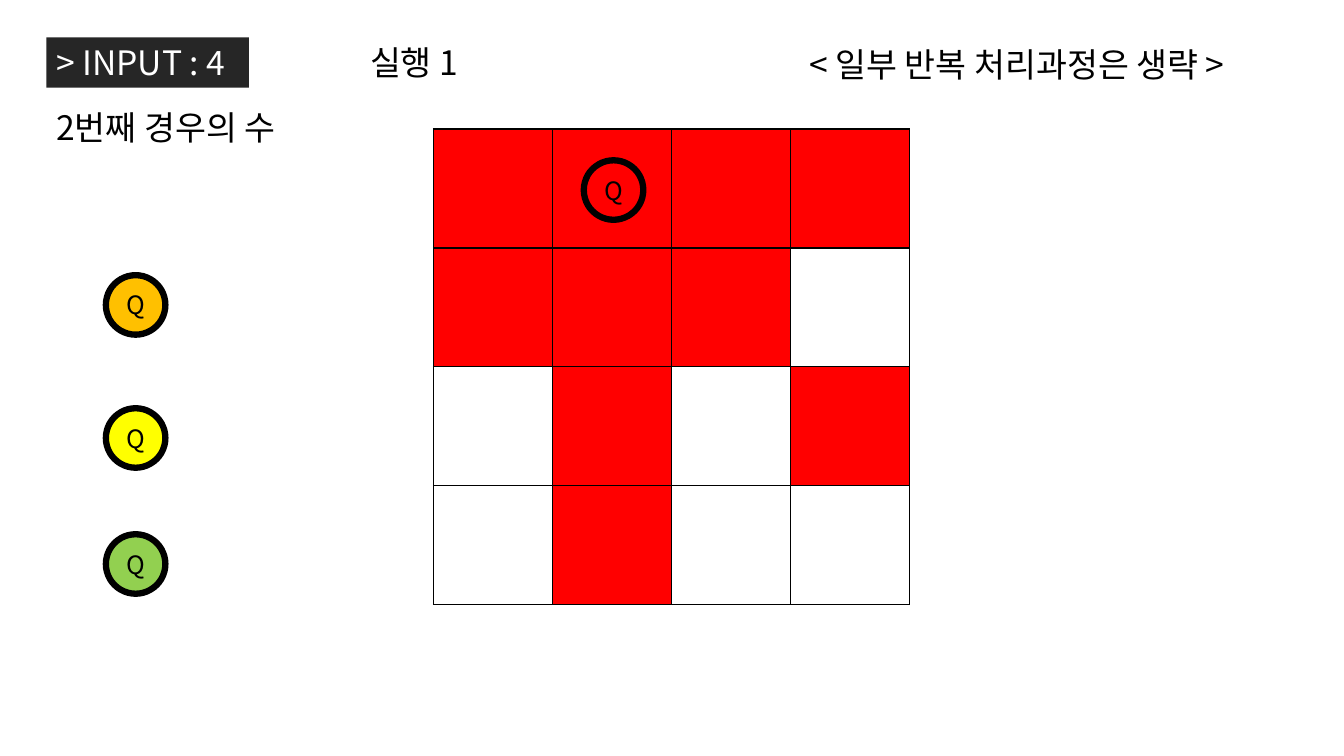
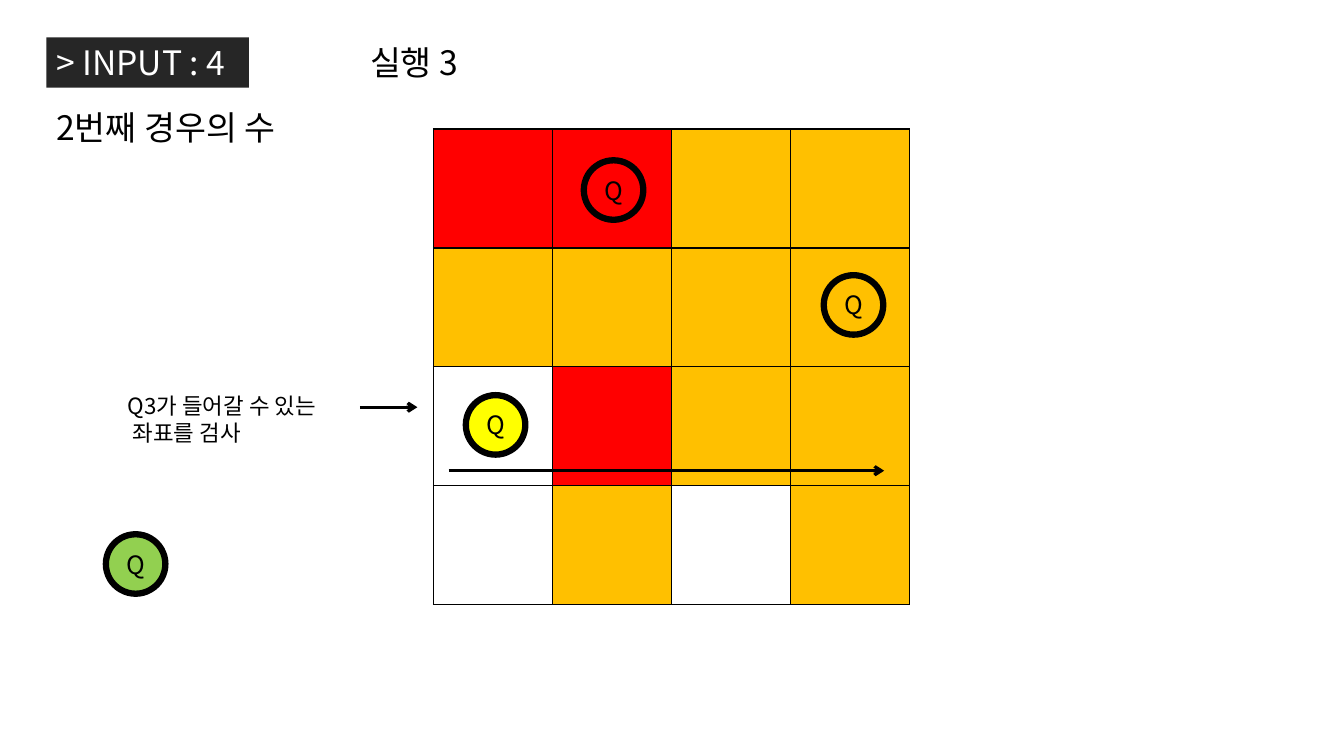
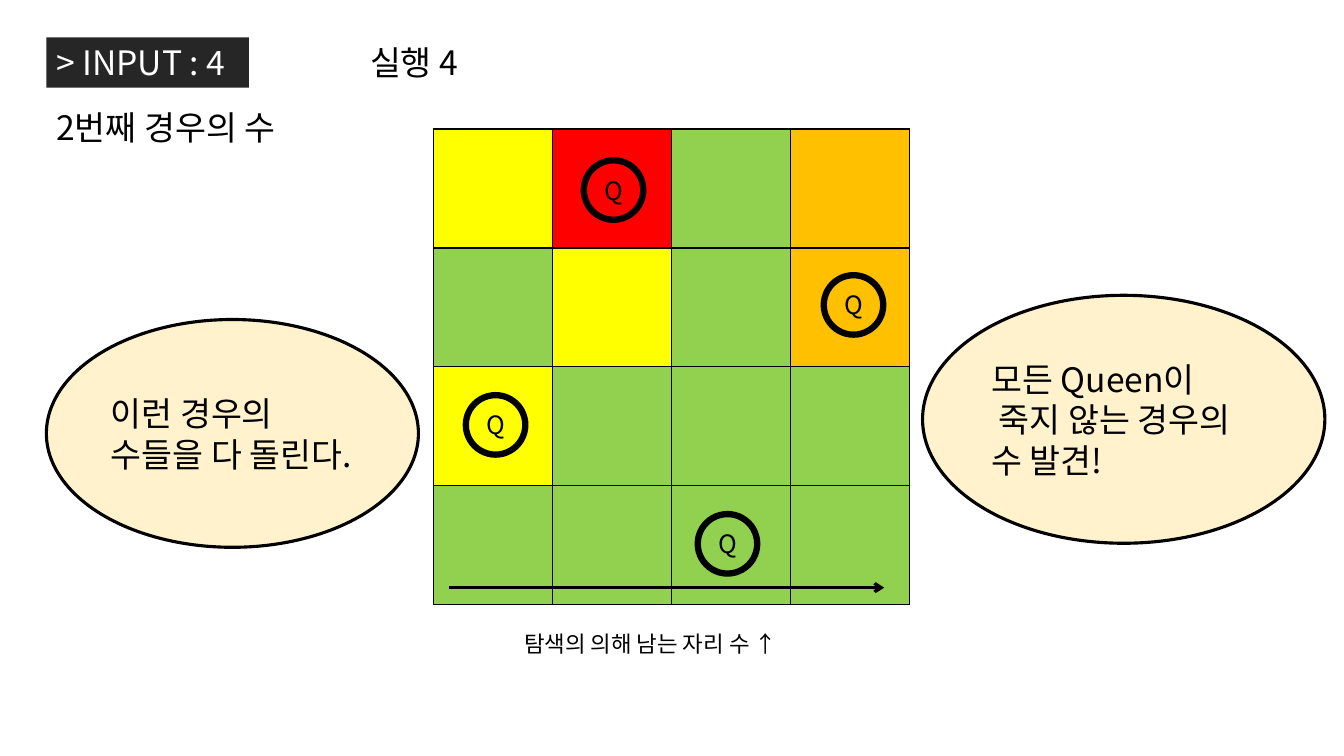
from dataclasses import dataclass

from lxml import etree
from pptx import Presentation
from pptx.dml.color import RGBColor
from pptx.enum.shapes import MSO_CONNECTOR, MSO_SHAPE
from pptx.enum.text import MSO_ANCHOR, MSO_AUTO_SIZE, PP_ALIGN
from pptx.oxml.ns import qn
from pptx.util import Inches, Pt


@dataclass(frozen=True)
class Theme:
    font: str = "Noto Sans CJK KR"
    black: str = "000000"
    white: str = "FFFFFF"
    band: str = "262626"
    bubble: str = "FFF2CC"
    queens: tuple = ("FF0000", "FFC000", "FFFF00", "92D050")
    heading: int = 24
    queen: int = 18
    note: int = 16
    grid_line: float = 1
    line: float = 2.25
    queen_line: float = 4.5


THEME = Theme()

# Board: each letter names the queen that attacks the cell, a dot is a free cell
CELL_COLORS = dict(zip("ROYG", THEME.queens))
BOARD_LEFT, BOARD_TOP, CELL = 4.3, 1.28, 1.18
QUEEN_SIZE = 0.59
BOARD_SPOTS = ((5.79, 1.59), (8.17, 2.73), (4.62, 3.92), (6.92, 5.1))
WAITING_LEFT = 1.05
WAITING_TOPS = (1.59, 2.73, 4.05, 5.3)
SCAN_LEFT, SCAN_RIGHT = 4.45, 8.77


def rgb(value):
    return RGBColor.from_string(value)


def write_text(frame, text, *, size, color=THEME.black, align=PP_ALIGN.LEFT,
               anchor=MSO_ANCHOR.TOP):
    """Fill a text frame, one paragraph for each line of text."""
    frame.word_wrap = True
    frame.auto_size = MSO_AUTO_SIZE.NONE
    frame.vertical_anchor = anchor
    frame.text = text
    for paragraph in frame.paragraphs:
        paragraph.alignment = align
        for run in paragraph.runs:
            run.font.size = Pt(size)
            run.font.name = THEME.font
            run.font.color.rgb = rgb(color)
            east_asian = etree.SubElement(run.font._element, qn("a:ea"))
            east_asian.set("typeface", THEME.font)


class Deck:
    """Holds the presentation and the current slide."""

    def __init__(self):
        self.prs = Presentation()
        self.prs.slide_width, self.prs.slide_height = Inches(13.33), Inches(7.5)
        self.slide = None

    def start(self, title):
        """Add a slide with its title, input band and case label."""
        self.slide = self.prs.slides.add_slide(self.prs.slide_layouts[5])
        heading = self.slide.shapes.title
        heading.left, heading.top = Inches(3.57), Inches(0.37)
        heading.width, heading.height = Inches(6.11), Inches(0.5)
        write_text(heading.text_frame, title, size=THEME.heading)
        self.shape(MSO_SHAPE.RECTANGLE, 0.46, 0.37, 2.01, 0.5, "> INPUT : 4",
                   fill=THEME.band, size=THEME.heading, color=THEME.white)
        self.text(0.46, 1.01, 2.42, 0.5, "2번째 경우의 수", size=THEME.heading)

    def text(self, left, top, width, height, text, **text_format):
        box = self.slide.shapes.add_textbox(
            Inches(left), Inches(top), Inches(width), Inches(height))
        write_text(box.text_frame, text, **text_format)

    def shape(self, kind, left, top, width, height, text, *, fill, line=None,
              **text_format):
        shape = self.slide.shapes.add_shape(
            kind, Inches(left), Inches(top), Inches(width), Inches(height))
        shape.shadow.inherit = False
        shape.fill.solid()
        shape.fill.fore_color.rgb = rgb(fill)
        if line:
            shape.line.color.rgb = rgb(THEME.black)
            shape.line.width = Pt(line)
        else:
            shape.line.fill.background()
        write_text(shape.text_frame, text, **text_format)

    def bubble(self, left, top, width, height, text):
        self.shape(MSO_SHAPE.OVAL, left, top, width, height, text,
                   fill=THEME.bubble, line=THEME.line, size=THEME.heading,
                   anchor=MSO_ANCHOR.MIDDLE)

    def board(self, rows):
        side = Inches(CELL * len(rows))
        table = self.slide.shapes.add_table(
            len(rows), len(rows), Inches(BOARD_LEFT), Inches(BOARD_TOP),
            side, side).table
        table.first_row = table.horz_banding = False
        for r, row in enumerate(rows):
            table.rows[r].height = table.columns[r].width = Inches(CELL)
            for c, letter in enumerate(row):
                cell = table.cell(r, c)
                self.border(cell)
                if letter in CELL_COLORS:
                    cell.fill.solid()
                    cell.fill.fore_color.rgb = rgb(CELL_COLORS[letter])
                else:
                    cell.fill.background()

    def border(self, cell):
        properties = cell._tc.get_or_add_tcPr()
        for side in ("a:lnL", "a:lnR", "a:lnT", "a:lnB"):
            edge = etree.SubElement(properties, qn(side),
                                    w=str(Pt(THEME.grid_line)))
            fill = etree.SubElement(edge, qn("a:solidFill"))
            etree.SubElement(fill, qn("a:srgbClr"), val=THEME.black)

    def queens(self, placed, waiting=True):
        """Put the first queens on the board and the others beside it."""
        for i, color in enumerate(THEME.queens):
            if i < placed:
                left, top = BOARD_SPOTS[i]
            else:
                left, top = WAITING_LEFT, WAITING_TOPS[i]
            self.shape(MSO_SHAPE.OVAL, left, top, QUEEN_SIZE, QUEEN_SIZE, "Q",
                       fill=color, line=THEME.queen_line, size=THEME.queen,
                       align=PP_ALIGN.CENTER, anchor=MSO_ANCHOR.MIDDLE)

    def arrow(self, start, end, y):
        arrow = self.slide.shapes.add_connector(
            MSO_CONNECTOR.STRAIGHT, Inches(start), Inches(y), Inches(end), Inches(y))
        arrow.line.color.rgb = rgb(THEME.black)
        arrow.line.width = Pt(THEME.line)
        etree.SubElement(arrow.line._get_or_add_ln(), qn("a:tailEnd"), type="arrow")
        etree.SubElement(arrow._element.spPr, qn("a:effectLst"))


def main():
    deck = Deck()

    # Run 1: first queen placed
    deck.start("실행 1")
    deck.board(("RRRR", "RRR.", ".R.R", ".R.."))
    deck.queens(placed=1)
    deck.text(7.93, 0.39, 5.14, 0.5, "< 일부 반복 처리과정은 생략 >",
              size=THEME.heading)

    # Run 3: search for a place for the third queen
    deck.start("실행 3")
    deck.board(("RROO", "OOOO", ".ROO", ".O.O"))
    deck.queens(placed=3)
    deck.text(1.17, 3.84, 2.4, 0.64, "Q3가 들어갈 수 있는\n 좌표를 검사",
              size=THEME.note)
    deck.arrow(3.57, 4.14, 4.04)
    deck.arrow(SCAN_LEFT, SCAN_RIGHT, 4.67)

    # Run 4: all queens placed
    deck.start("실행 4")
    deck.board(("YRGO", "GYGO", "YGGG", "GGGG"))
    deck.queens(placed=4)
    deck.arrow(SCAN_LEFT, SCAN_RIGHT, 5.83)
    deck.text(5.1, 6.2, 3.61, 0.37, "탐색의 의해 남는 자리 수 ↑", size=THEME.note)
    deck.bubble(9.15, 2.93, 3.99, 2.46, "모든 Queen이\n 죽지 않는 경우의 수 발견!")
    deck.bubble(0.46, 3.17, 3.69, 2.26, "이런 경우의\n수들을 다 돌린다.")

    deck.prs.save("out.pptx")


if __name__ == "__main__":
    main()
